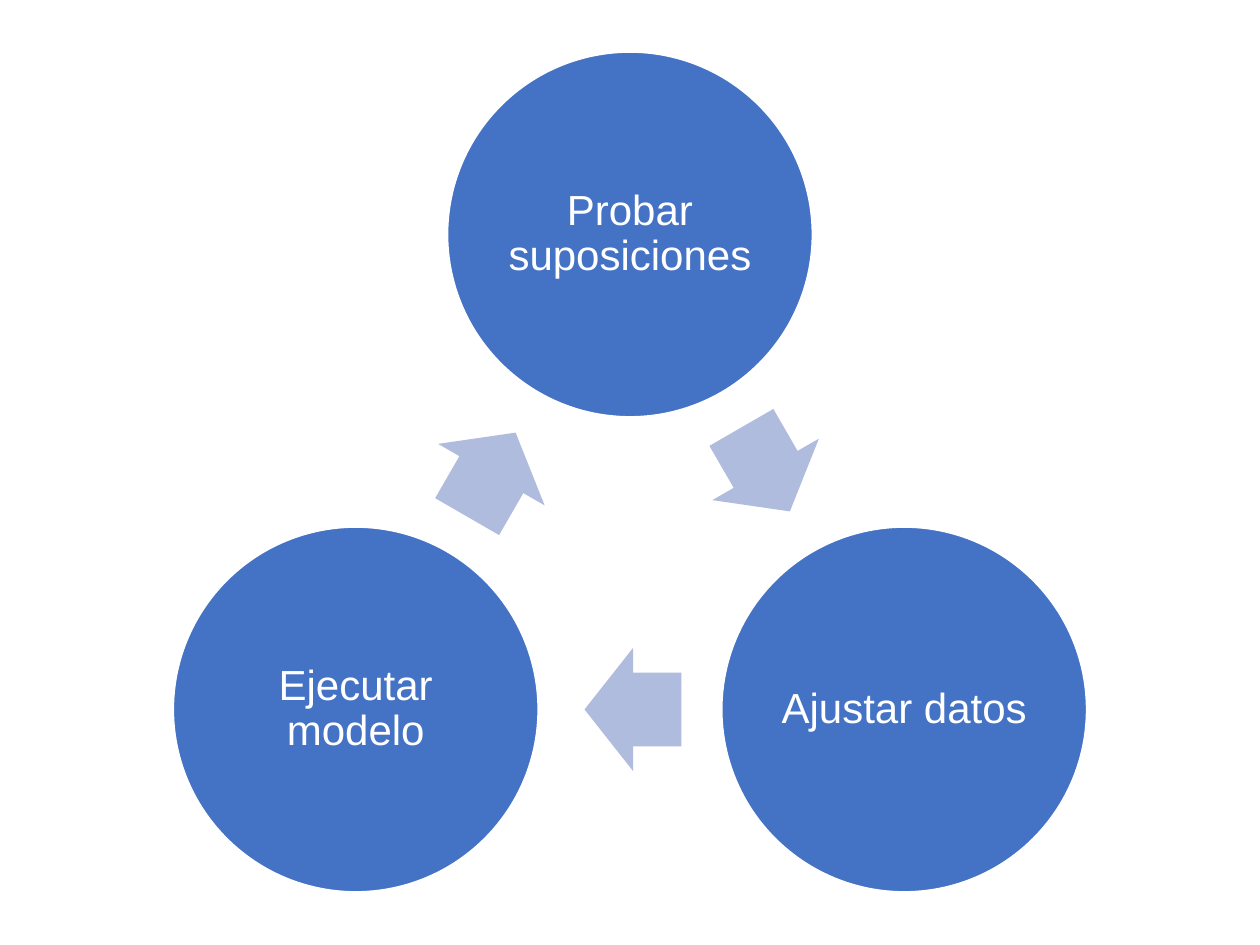
import math
from dataclasses import dataclass

from pptx import Presentation
from pptx.dml.color import RGBColor
from pptx.enum import shapes, text
from pptx.util import Emu, Pt

PX = 914400 / 126  # EMU in one px


@dataclass(frozen=True)
class Theme:
    circle: RGBColor = RGBColor(0x44, 0x72, 0xC4)
    arrow: RGBColor = RGBColor(0xB0, 0xBC, 0xDE)
    light: RGBColor = RGBColor(0xFF, 0xFF, 0xFF)
    font: str = "Arial"
    label_size: int = 24
    outline: int = 1


THEME = Theme()
STEPS = ["Probar suposiciones", "Ajustar datos", "Ejecutar modelo"]


def px(length):
    return Emu(round(length * PX))


def add_centered(slide, kind, center, width, height, color):
    """Add a filled preset shape around its center point."""
    x, y = center
    shape = slide.shapes.add_shape(
        kind, px(x - width / 2), px(y - height / 2), px(width), px(height))
    shape.shadow.inherit = False
    shape.fill.solid()
    shape.fill.fore_color.rgb = color
    return shape


def add_step(slide, center, diameter, label):
    circle = add_centered(slide, shapes.MSO_SHAPE.OVAL, center,
                          diameter, diameter, THEME.circle)
    circle.line.color.rgb = THEME.light
    circle.line.width = Pt(THEME.outline)

    # Label
    frame = circle.text_frame
    frame.word_wrap = True
    frame.vertical_anchor = text.MSO_ANCHOR.MIDDLE
    frame.margin_left = frame.margin_right = px(4)
    frame.margin_top = frame.margin_bottom = px(4)
    paragraph = frame.paragraphs[0]
    paragraph.alignment = text.PP_ALIGN.CENTER
    paragraph.line_spacing = 0.9
    run = paragraph.add_run()
    run.text = label
    run.font.name = THEME.font
    run.font.size = Pt(THEME.label_size)
    run.font.color.rgb = THEME.light


def add_step_arrow(slide, start, end, setback=3):
    """Add an arrow halfway between two steps, set back toward the first."""
    angle = math.atan2(end[1] - start[1], end[0] - start[0])
    center = ((start[0] + end[0]) / 2 - setback * math.cos(angle),
              (start[1] + end[1]) / 2 - setback * math.sin(angle))
    arrow = add_centered(slide, shapes.MSO_SHAPE.RIGHT_ARROW, center,
                         97, 123, THEME.arrow)
    arrow.adjustments[0] = 0.6
    arrow.adjustments[1] = 0.5
    arrow.rotation = round(math.degrees(angle)) % 360
    arrow.line.fill.background()


def add_cycle(slide, left, top, width, height, labels, diameter=365):
    """Spread the steps clockwise from the top of the given box."""
    radius = (height - diameter) / (1 + math.cos(math.pi / len(labels)))
    middle_x = left + width / 2
    middle_y = top + diameter / 2 + radius
    turns = [2 * math.pi * i / len(labels) for i in range(len(labels))]
    centers = [(middle_x + radius * math.sin(turn),
                middle_y - radius * math.cos(turn)) for turn in turns]

    for i, label in enumerate(labels):
        add_step(slide, centers[i], diameter, label)
        add_step_arrow(slide, centers[i], centers[(i + 1) % len(labels)])


def main():
    presentation = Presentation()
    presentation.slide_width = px(1260)
    presentation.slide_height = px(945)
    slide = presentation.slides.add_slide(presentation.slide_layouts[6])
    add_cycle(slide, 173, 52, 914, 840, STEPS)
    presentation.save("out.pptx")


if __name__ == "__main__":
    main()
